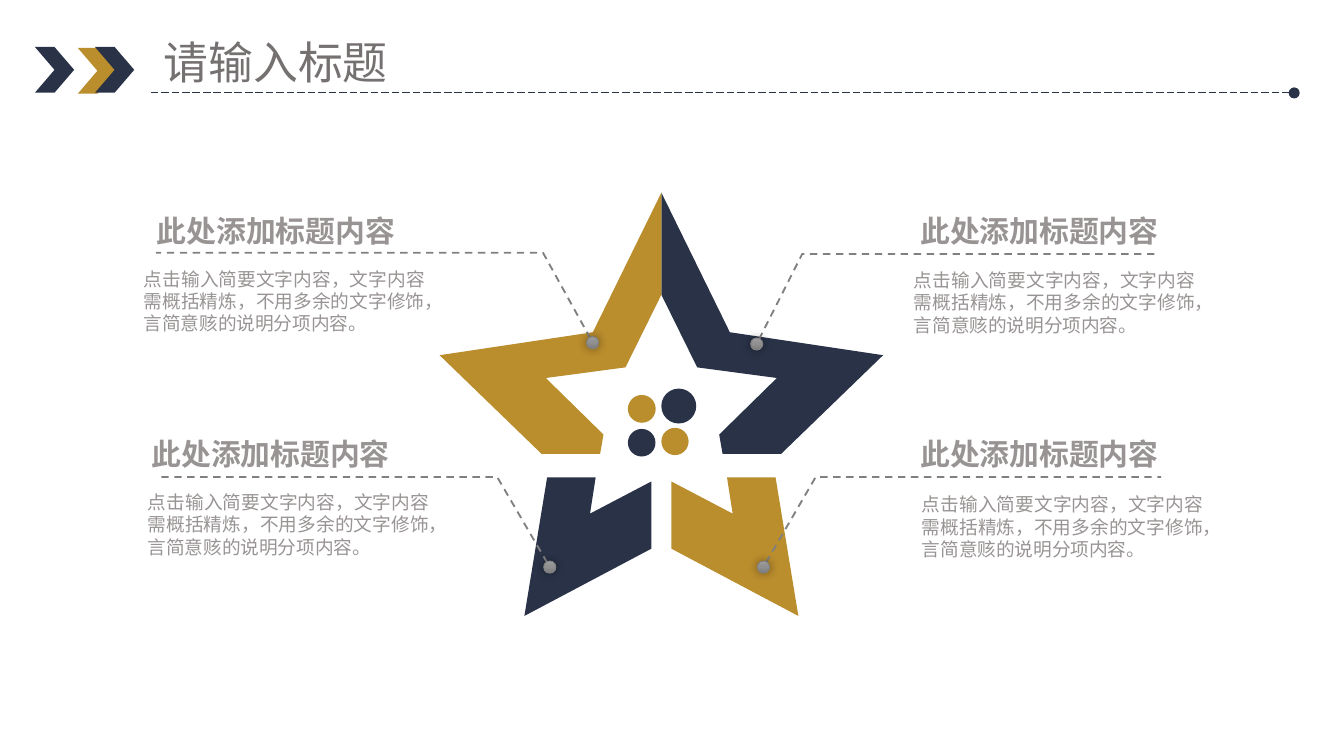
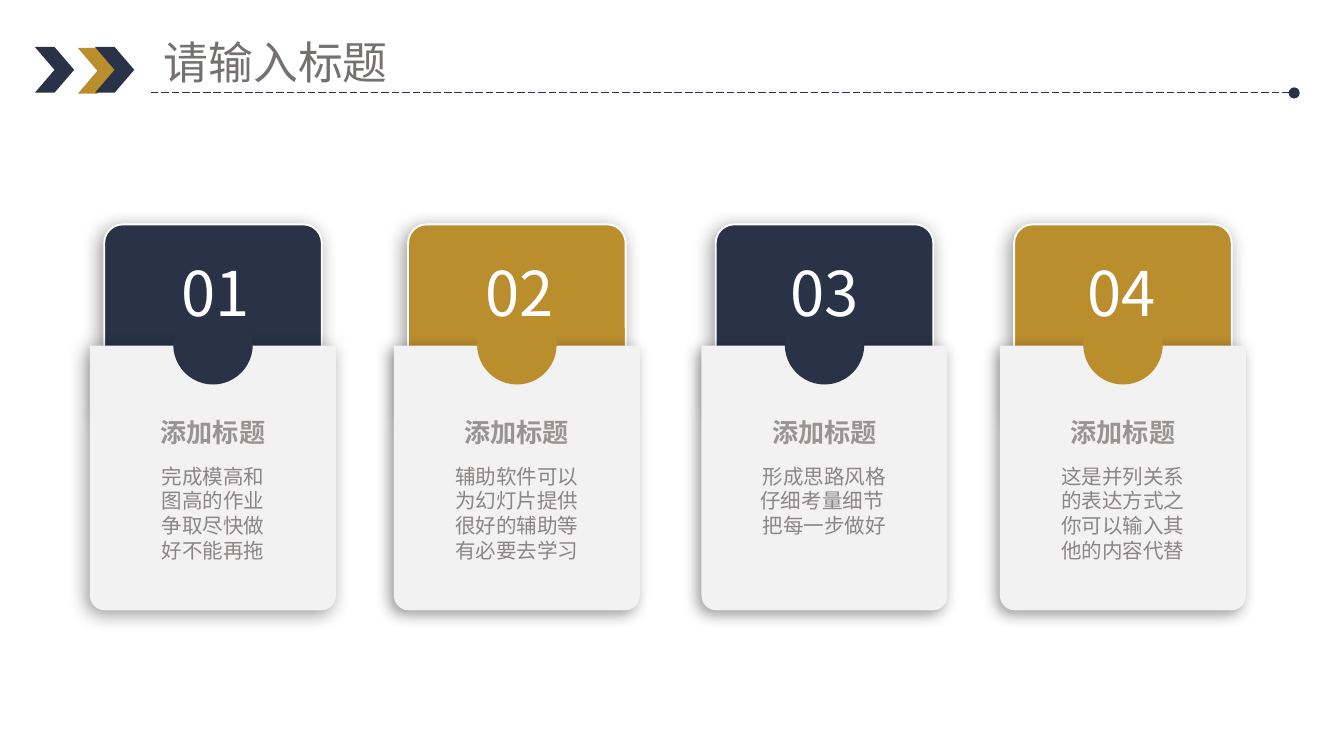
import dataclasses

import lxml.etree
import pptx
import pptx.dml.color
import pptx.enum.dml
import pptx.enum.shapes
import pptx.enum.text
import pptx.oxml.ns
import pptx.util

Pt = pptx.util.Pt
SHAPE = pptx.enum.shapes.MSO_SHAPE
DASH = pptx.enum.dml.MSO_LINE
ALIGN = pptx.enum.text.PP_ALIGN

FONT = "Noto Sans CJK SC"
NAVY = "293247"
GOLD = "BA8D2D"
WHITE = "FFFFFF"
PANEL = "F2F2F2"
TITLE_GREY = "767171"
HEADING_GREY = "999494"
CARD_GREY = "8B8686"
LEADER_GREY = "808080"

CALLOUT_HEADING = "此处添加标题内容"
CALLOUT_BODY = "点击输入简要文字内容，文字内容需概括精炼，不用多余的文字修饰，言简意赅的说明分项内容。"


@dataclasses.dataclass
class Callout:
    """Offsets are measured from the top left corner of the heading."""
    left: float
    top: float
    width: float
    body: tuple
    leader: tuple


@dataclasses.dataclass
class Card:
    left: float
    color: str
    number: str
    number_width: float
    number_shift: float
    text_width: float
    blur: float
    lines: tuple


CALLOUTS = (
    Callout(77, 100.8, 155.5, (-5, 39.6),
            ((240.5, 82.8), (213.9, 34.6), (6.5, 34.6))),
    Callout(74.2, 220.3, 155.5, (0, 39.6),
            ((220.3, 83.5), (192.2, 35.3), (9.3, 35.3))),
    Callout(486, 100.8, 148.3, (-1.4, 40.3),
            ((-80.6, 83.5), (-56.2, 35.3), (134.6, 35.3))),
    Callout(486, 220.3, 148.3, (2.9, 41.1),
            ((-77, 83.5), (-49, 35.3), (136.1, 35.3))),
)

CARDS = (
    Card(48.2, NAVY, "01", 59.8, 1.4, 80.6, 10,
         ("完成模高和", "图高的作业", "争取尽快做", "好不能再拖")),
    Card(211, GOLD, "02", 64.1, 1.4, 94.3, 8,
         ("辅助软件可以", "为幻灯片提供", "很好的辅助等", "有必要去学习")),
    Card(375.8, NAVY, "03", 69.8, 0, 99.4, 8,
         ("形成思路风格", "仔细考量细节 ", "把每一步做好")),
    Card(535.7, GOLD, "04", 62.6, -0.7, 95.8, 8,
         ("这是并列关系", "的表达方式之", "你可以输入其", "他的内容代替")),
)

# Right half of the star: distance from the axis, distance from the top.
STAR_ARM = ((36.7, 74.8), (0, 0), (0, 54.7), (19.2, 93.6), (61.9, 99.3),
            (31, 129.6), (32.8, 140), (64.1, 140), (118.8, 87.1))
STAR_LEG = ((5.4, 154.8), (5.4, 190.8), (73.4, 226.8), (61.2, 152.6),
            (35.2, 152.6), (38.2, 172))
STAR_DOTS = ((-17.9, 108.4, 14.9, GOLD), (0, 105, 18.7, NAVY),
             (-17.9, 126.6, 14.8, NAVY), (0, 126, 14.6, GOLD))


def rgb(color):
    return pptx.dml.color.RGBColor.from_string(color)


def add_element(parent, tag, **attributes):
    return lxml.etree.SubElement(parent, pptx.oxml.ns.qn(tag), attributes)


def paint(shape, fill, line=None, line_width=1):
    shape.shadow.inherit = False
    shape.fill.solid()
    shape.fill.fore_color.rgb = rgb(fill)
    if line:
        shape.line.color.rgb = rgb(line)
        shape.line.width = Pt(line_width)
    else:
        shape.line.fill.background()
    return shape


def add_shape(slide, kind, left, top, width, height, fill, **line):
    shape = slide.shapes.add_shape(kind, Pt(left), Pt(top), Pt(width), Pt(height))
    return paint(shape, fill, **line)


def add_shadow(shape, blur, distance=0, angle=0):
    effects = shape._element.spPr.find(pptx.oxml.ns.qn("a:effectLst"))
    shadow = add_element(effects, "a:outerShdw", blurRad=str(Pt(blur)),
                         dist=str(Pt(distance)), dir=str(angle * 60000),
                         algn="ctr", rotWithShape="0")
    color = add_element(shadow, "a:srgbClr", val="000000")
    add_element(color, "a:alpha", val="40000")


def add_outline(slide, points, close):
    corners = [(Pt(x), Pt(y)) for x, y in points]
    builder = slide.shapes.build_freeform(*corners[0], scale=1.0)
    builder.add_line_segments(corners[1:], close=close)
    return builder.convert_to_shape()


def style_line(shape, color, width, dash, oval_end):
    shape.line.color.rgb = rgb(color)
    shape.line.width = Pt(width)
    shape.line.dash_style = dash
    line = shape._element.spPr.find(pptx.oxml.ns.qn("a:ln"))
    add_element(line, oval_end, type="oval")


def add_text(slide, left, top, width, height, lines, size, color, bold=False,
             align=ALIGN.LEFT, spacing=None, insets=(7.2, 3.6), wrap=True):
    box = slide.shapes.add_textbox(Pt(left), Pt(top), Pt(width), Pt(height))
    frame = box.text_frame
    frame.word_wrap = wrap
    frame.auto_size = pptx.enum.text.MSO_AUTO_SIZE.SHAPE_TO_FIT_TEXT
    frame.margin_left = frame.margin_right = Pt(insets[0])
    frame.margin_top = frame.margin_bottom = Pt(insets[1])
    for index, line in enumerate(lines):
        paragraph = frame.add_paragraph() if index else frame.paragraphs[0]
        paragraph.alignment = align
        if spacing:
            paragraph.line_spacing = spacing
        run = paragraph.add_run()
        run.text = line
        run.font.size = Pt(size)
        run.font.bold = bold
        run.font.color.rgb = rgb(color)
        run.font.name = FONT
        add_element(run.font._element, "a:ea", typeface=FONT)


def add_header(slide, left=18.7, top=25.2):
    for offset, drop, color in ((23, 0.5, GOLD), (32.2, 0, NAVY)):
        add_shape(slide, SHAPE.CHEVRON, left + offset, top + drop, 21, 24.5, color)
    rule_top = top + 24.6
    rule = slide.shapes.add_connector(
        pptx.enum.shapes.MSO_CONNECTOR.STRAIGHT,
        Pt(left + 62), Pt(rule_top), Pt(left + 674.6), Pt(rule_top))
    style_line(rule, NAVY, 0.5, DASH.LONG_DASH, "a:tailEnd")
    add_element(rule._element.spPr, "a:effectLst")
    add_text(slide, left + 62, top - 10, 134.6, 36, ["请输入标题"], 24,
             TITLE_GREY, wrap=False)
    add_shape(slide, SHAPE.CHEVRON, left, top, 21, 24.5, NAVY)


def add_star(slide, axis, top):
    for half, side, color in ((STAR_LEG, 1, GOLD), (STAR_LEG, -1, NAVY),
                              (STAR_ARM, 1, NAVY), (STAR_ARM, -1, GOLD)):
        points = [(axis + side * x, top + y) for x, y in half]
        paint(add_outline(slide, points, close=True), color)
    for x, y, size, color in STAR_DOTS:
        add_shape(slide, SHAPE.OVAL, axis + x, top + y, size, size, color)


def add_pin(slide, center_x, center_y, size=6.5):
    pin = add_shape(slide, SHAPE.OVAL, center_x - size / 2, center_y - size / 2,
                    size, size, LEADER_GREY, line=LEADER_GREY, line_width=0.5)
    pin.fill.gradient()
    pin.fill.gradient_angle = 270
    stops = pin._element.spPr.find(".//" + pptx.oxml.ns.qn("a:gsLst"))
    stops.clear()
    for position, color in ((0, "9D9D9D"), (50, "909090"), (100, "7C7C7C")):
        stop = add_element(stops, "a:gs", pos=str(position * 1000))
        add_element(stop, "a:srgbClr", val=color)
    add_shadow(pin, 5)


def add_callout(slide, callout):
    left, top = callout.left, callout.top
    add_text(slide, left, top, callout.width, 33.1, [CALLOUT_HEADING], 16,
             HEADING_GREY, bold=True, spacing=1.5)
    points = [(left + x, top + y) for x, y in callout.leader]
    leader = add_outline(slide, points, close=False)
    leader.shadow.inherit = False
    leader.fill.background()
    style_line(leader, LEADER_GREY, 1, DASH.DASH, "a:headEnd")
    add_pin(slide, *points[0])
    add_text(slide, left + callout.body[0], top + callout.body[1], 160.6, 41.8,
             [CALLOUT_BODY], 10, HEADING_GREY, align=ALIGN.JUSTIFY,
             insets=(5, 2.9))


def add_card(slide, card, top, width=131.8):
    center = card.left + width / 2

    def add_centered(offset, box_width, height, lines, size, color,
                     shift=0, bold=False):
        add_text(slide, center + shift - box_width / 2, top + offset, box_width,
                 height, lines, size, color, bold=bold, align=ALIGN.CENTER)

    tab = add_shape(slide, SHAPE.ROUNDED_RECTANGLE, center - 58.3, top, 116.6,
                    107.3, card.color, line=WHITE)
    tab.adjustments[0] = 0.093
    add_shadow(tab, 10, 3, 135)
    panel = add_shape(slide, SHAPE.ROUND_2_SAME_RECTANGLE, card.left, top + 65,
                      width, 141.8, PANEL)
    panel.adjustments[0] = 0
    panel.adjustments[1] = 0.06
    add_shadow(panel, card.blur, 3, 135)
    add_shape(slide, SHAPE.OVAL, center - 21.3, top + 43.2, 42.6, 42.6, card.color)
    add_centered(13, card.number_width, 47.5, [card.number], 33, WHITE,
                 shift=card.number_shift)
    add_centered(99.4, 79.2, 24.5, ["添加标题"], 14, HEADING_GREY, bold=True)
    add_centered(124.6, card.text_width, 7.2 + 13.3 * len(card.lines),
                 card.lines, 11, CARD_GREY)


def build_star_slide(slide):
    add_star(slide, axis=354.3, top=103.2)
    for callout in CALLOUTS:
        add_callout(slide, callout)
    add_header(slide)


def build_cards_slide(slide):
    for card in CARDS:
        add_card(slide, card, top=120.2)
    add_header(slide)


def main():
    presentation = pptx.Presentation()
    presentation.slide_width = Pt(720)
    presentation.slide_height = Pt(405)
    for build in (build_star_slide, build_cards_slide):
        build(presentation.slides.add_slide(presentation.slide_layouts[6]))
    presentation.save("out.pptx")


if __name__ == "__main__":
    main()
